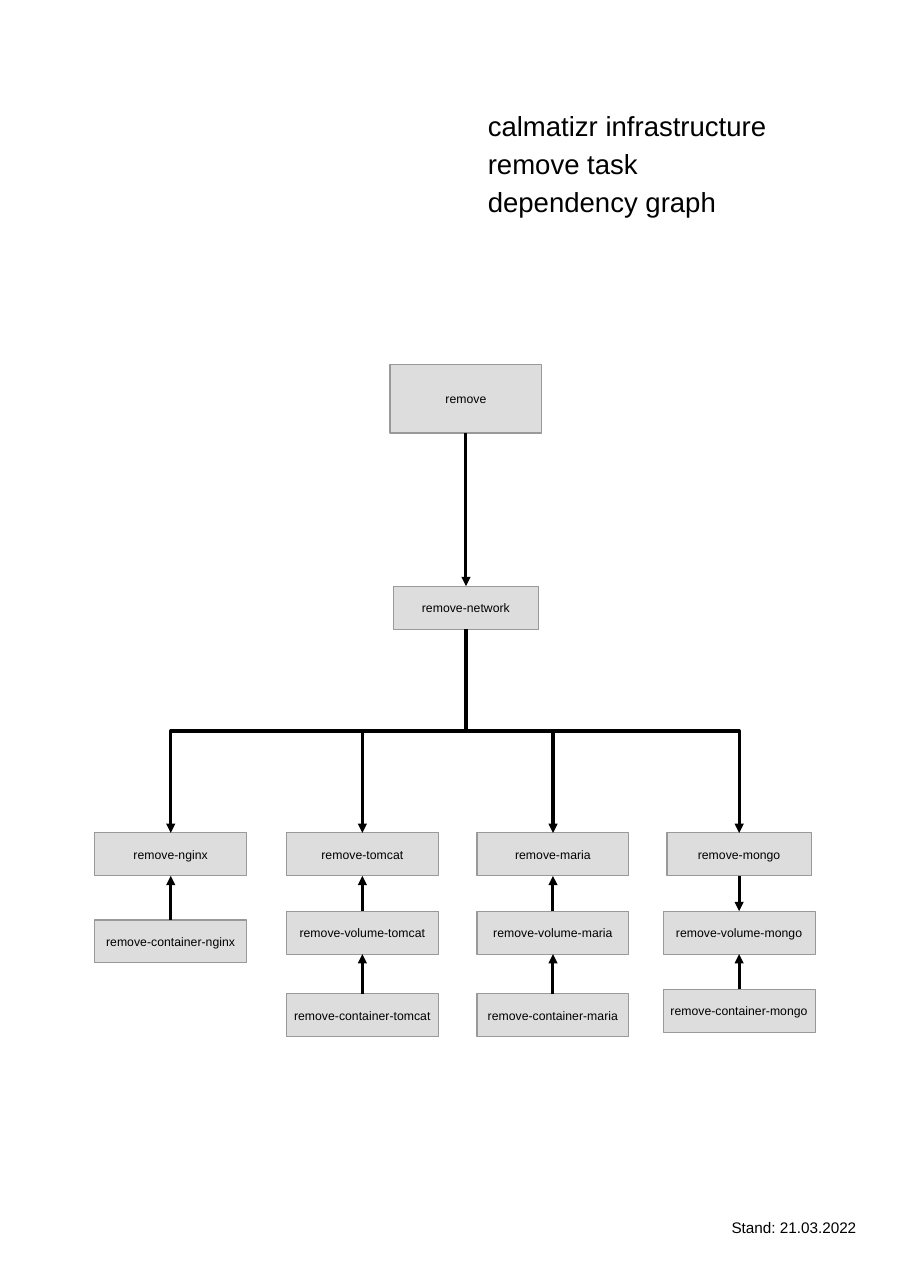
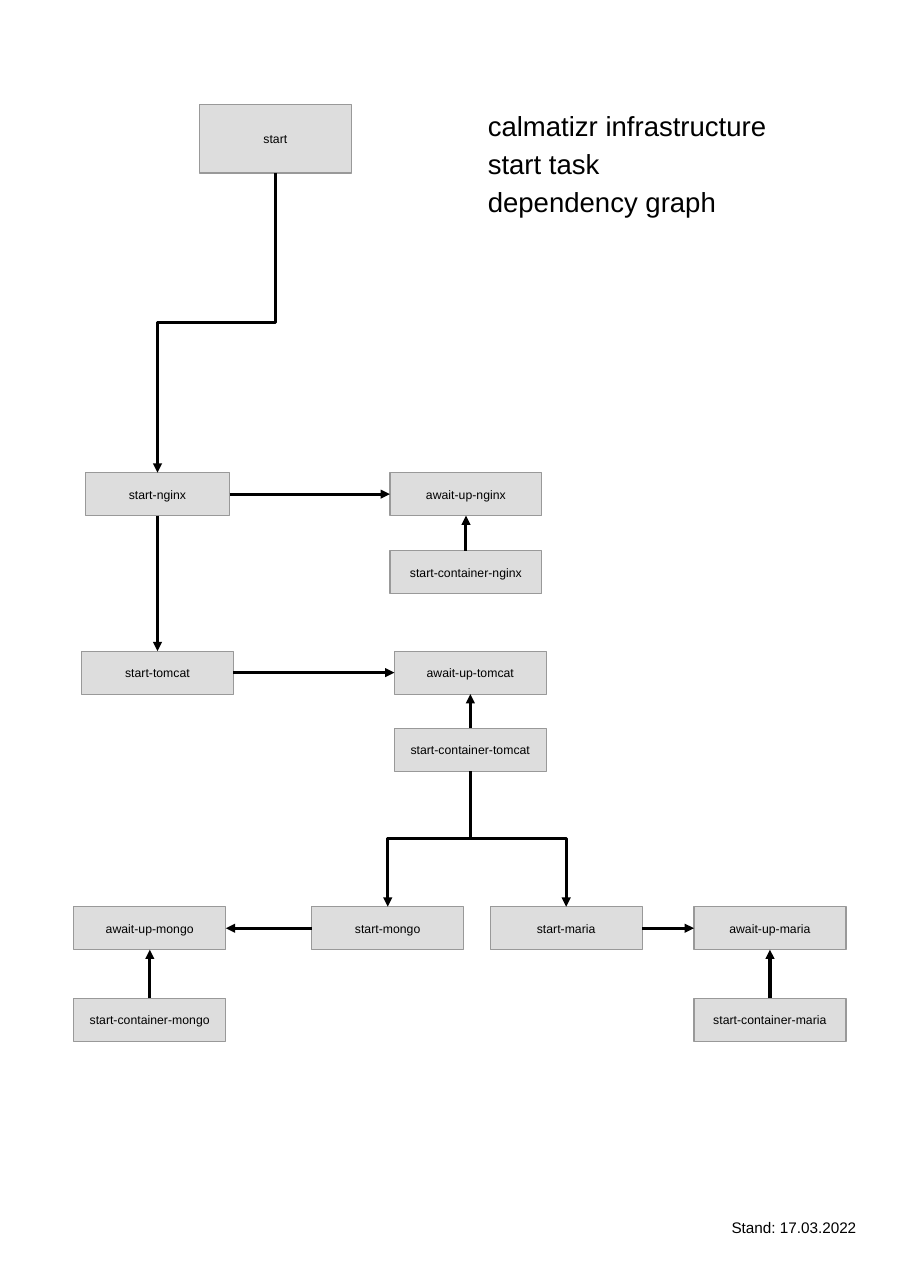
from lxml.etree import SubElement
from pptx import Presentation
from pptx.dml.color import RGBColor
from pptx.enum.shapes import MSO_CONNECTOR as Link, MSO_SHAPE as Shape
from pptx.enum.text import MSO_ANCHOR as Anchor, MSO_AUTO_SIZE as Fit, PP_ALIGN as Align
from pptx.oxml.ns import qn
from pptx.util import Inches, Pt

BLACK = RGBColor(0x00, 0x00, 0x00)
GREY = RGBColor(0xDD, 0xDD, 0xDD)
EDGE = RGBColor(0x99, 0x99, 0x99)
FONT = "Arial"
WIDE, SLIM, LOW, TALL = 1.38, 1.31, 0.39, 0.62
TOP, LEFT, BOTTOM, RIGHT = range(4)

TASKS = [
    {
        "name": "remove",
        "date": "21.03.2022",
        "boxes": {
            "remove": (4.23, 3.31, WIDE, TALL),
            "remove-network": (4.23, 5.32, SLIM, LOW),
            "remove-nginx": (1.55, 7.56, WIDE, LOW),
            "remove-tomcat": (3.29, 7.56, WIDE, LOW),
            "remove-maria": (5.02, 7.56, WIDE, LOW),
            "remove-mongo": (6.71, 7.56, SLIM, LOW),
            "remove-volume-tomcat": (3.29, 8.27, WIDE, LOW),
            "remove-volume-maria": (5.02, 8.27, WIDE, LOW),
            "remove-volume-mongo": (6.71, 8.27, WIDE, LOW),
            "remove-container-nginx": (1.55, 8.35, WIDE, LOW),
            "remove-container-tomcat": (3.29, 9.02, WIDE, LOW),
            "remove-container-maria": (5.02, 9.02, WIDE, LOW),
            "remove-container-mongo": (6.71, 8.98, WIDE, LOW),
        },
        "links": [
            ("remove", "remove-network"),
            ("remove-network", "remove-nginx"),
            ("remove-network", "remove-tomcat"),
            ("remove-network", "remove-maria"),
            ("remove-network", "remove-mongo"),
            ("remove-container-nginx", "remove-nginx"),
            ("remove-volume-tomcat", "remove-tomcat"),
            ("remove-container-tomcat", "remove-volume-tomcat"),
            ("remove-volume-maria", "remove-maria"),
            ("remove-container-maria", "remove-volume-maria"),
            ("remove-mongo", "remove-volume-mongo"),
            ("remove-container-mongo", "remove-volume-mongo"),
        ],
    },
    {
        "name": "start",
        "date": "17.03.2022",
        "boxes": {
            "start": (2.5, 0.95, WIDE, TALL),
            "start-nginx": (1.43, 4.29, SLIM, LOW),
            "await-up-nginx": (4.23, 4.29, WIDE, LOW),
            "start-container-nginx": (4.23, 5, WIDE, LOW),
            "start-tomcat": (1.43, 5.91, WIDE, LOW),
            "await-up-tomcat": (4.27, 5.91, WIDE, LOW),
            "start-container-tomcat": (4.27, 6.61, WIDE, LOW),
            "await-up-mongo": (1.36, 8.23, WIDE, LOW),
            "start-mongo": (3.52, 8.23, WIDE, LOW),
            "start-maria": (5.14, 8.23, WIDE, LOW),
            "await-up-maria": (6.99, 8.23, WIDE, LOW),
            "start-container-mongo": (1.36, 9.06, WIDE, LOW),
            "start-container-maria": (6.99, 9.06, WIDE, LOW),
        },
        "links": [
            ("start", "start-nginx"),
            ("start-nginx", "await-up-nginx"),
            ("start-container-nginx", "await-up-nginx"),
            ("start-nginx", "start-tomcat"),
            ("start-tomcat", "await-up-tomcat"),
            ("start-container-tomcat", "await-up-tomcat"),
            ("start-container-tomcat", "start-mongo"),
            ("start-container-tomcat", "start-maria"),
            ("start-mongo", "await-up-mongo"),
            ("start-container-mongo", "await-up-mongo"),
            ("start-maria", "await-up-maria"),
            ("start-container-maria", "await-up-maria"),
        ],
    },
]


def write(frame, lines, size, align, **form):
    """Fill a text frame with one paragraph per line."""
    for key, value in form.items():
        setattr(frame, key, value)
    for i, line in enumerate(lines):
        para = frame.add_paragraph() if i else frame.paragraphs[0]
        para.alignment = align
        if i:
            para.line_spacing = 1.15
        run = para.add_run()
        run.text = line
        for key, value in {"name": FONT, "size": Pt(size)}.items():
            setattr(run.font, key, value)
        run.font.color.rgb = BLACK


def add_text(slide, at, lines, size, align):
    """Add a text box that grows with its text."""
    box = slide.shapes.add_textbox(*map(Inches, at))
    write(box.text_frame, lines, size, align, word_wrap=True, auto_size=Fit.SHAPE_TO_FIT_TEXT)


def add_box(slide, name, mid, top, width, height):
    """Add a task box centred on mid."""
    at = mid - width / 2, top, width, height
    box = slide.shapes.add_shape(Shape.RECTANGLE, *map(Inches, at))
    box.shadow.inherit = False
    box.fill.solid()
    box.fill.fore_color.rgb = GREY
    box.line.color.rgb = EDGE
    box.line.width = Pt(0)
    write(box.text_frame, [name], 8, Align.CENTER, word_wrap=False, vertical_anchor=Anchor.MIDDLE)
    return box


def pick_sides(start, end):
    """Return the sides on which a link leaves and arrives."""
    if start.top == end.top:
        return (RIGHT, LEFT) if start.left < end.left else (LEFT, RIGHT)
    return (BOTTOM, TOP) if start.top < end.top else (TOP, BOTTOM)


def turn(link, start, end):
    """Turn an elbow so that it leaves downwards and arrives downwards."""
    x1, x2 = (box.left + box.width // 2 for box in (start, end))
    y1, y2 = start.top + start.height, end.top
    width, height = y2 - y1, abs(x2 - x1)
    place = {
        "left": (x1 + x2 - width) // 2,
        "top": (y1 + y2 - height) // 2,
        "width": width,
        "height": height,
    }
    for key, value in place.items():
        setattr(link, key, value)
    right = x2 > x1
    frame = link._element.spPr.find(qn("a:xfrm"))
    frame.set("rot", str((270 if right else 90) * 60000))
    frame.set("flipH", "1" if right else "0")
    frame.set("flipV", "0")


def add_link(slide, start, end):
    """Join two boxes with an arrow, bent where they are not in line."""
    out, into = pick_sides(start, end)
    shift = abs(start.left + start.width // 2 - end.left - end.width // 2)
    bent = out == BOTTOM and shift > Inches(0.01)
    link = slide.shapes.add_connector(Link.ELBOW if bent else Link.STRAIGHT, 0, 0, 0, 0)
    link.begin_connect(start, out)
    link.end_connect(end, into)
    if bent:
        turn(link, start, end)
    link.line.color.rgb = BLACK
    link.line.width = Pt(0)
    SubElement(link.line._get_or_add_ln(), qn("a:tailEnd"), type="triangle")
    SubElement(link._element.spPr, qn("a:effectLst"))


def add_graph(deck, name, date, boxes, links):
    """Add a slide with the title, graph and date of one task."""
    slide = deck.slides.add_slide(deck.slide_layouts[6])
    title = ["calmatizr infrastructure", f"{name} task", "dependency graph"]
    add_text(slide, (4.33, 0.94, 3.31, 1.02), title, 18, Align.LEFT)
    nodes = {key: add_box(slide, key, *at) for key, at in boxes.items()}
    for start, end in links:
        add_link(slide, nodes[start], nodes[end])
    add_text(slide, (5.98, 11.01, 1.89, 0.25), [f"Stand: {date}"], 10, Align.RIGHT)


def main():
    """Build and save the deck."""
    deck = Presentation()
    deck.slide_width, deck.slide_height = Inches(8.27), Inches(11.69)
    for task in TASKS:
        add_graph(deck, **task)
    deck.save("out.pptx")


if __name__ == "__main__":
    main()
